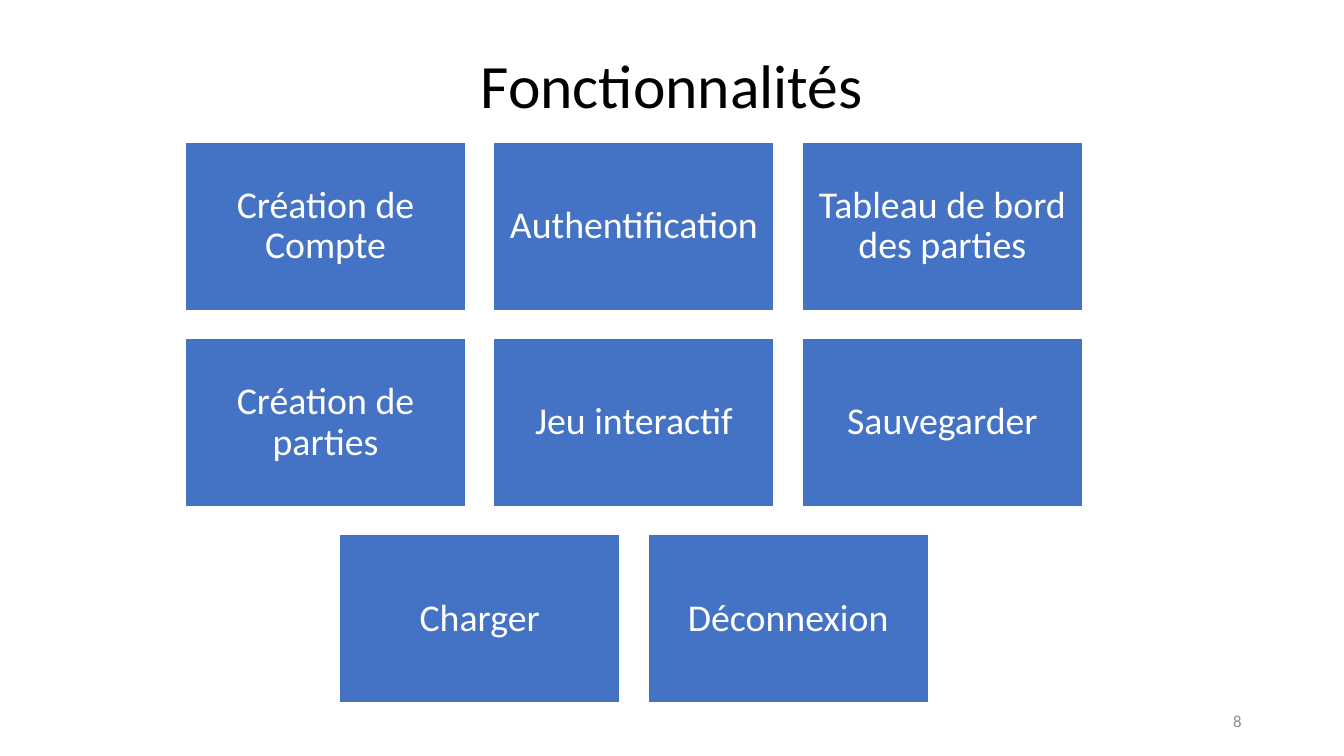
from dataclasses import dataclass

from pptx import Presentation
from pptx.dml.color import RGBColor
from pptx.enum.shapes import MSO_SHAPE
from pptx.enum.text import MSO_ANCHOR, PP_ALIGN
from pptx.shapes.autoshape import Shape
from pptx.slide import Slide
from pptx.util import Pt


@dataclass(frozen=True)
class Theme:
    font: str = "Calibri"
    blue: RGBColor = RGBColor(0x44, 0x72, 0xC4)
    white: RGBColor = RGBColor(0xFF, 0xFF, 0xFF)
    black: RGBColor = RGBColor(0, 0, 0)
    gray: RGBColor = RGBColor(0x8C, 0x8C, 0x8C)
    title: float = 44
    body: float = 27
    small: float = 12


@dataclass(frozen=True)
class Box:
    left: float
    top: float
    width: float
    height: float

    def place(self) -> tuple[Pt, Pt, Pt, Pt]:
        return Pt(self.left), Pt(self.top), Pt(self.width), Pt(self.height)


@dataclass(frozen=True)
class Label:
    text: str
    size: float
    color: RGBColor
    align: PP_ALIGN = PP_ALIGN.CENTER
    spacing: float = 0.9
    pad_x: float = 7.2
    pad_y: float = 3.6


THEME = Theme()
CENTER, TOP = 452.8, 101.5
WIDTH, HEIGHT, GAP = 200.2, 120.1, 20.1
ROWS = (
    ("Création de Compte", "Authentification", "Tableau de bord des parties"),
    ("Création de parties", "Jeu interactif", "Sauvegarder"),
    ("Charger", "Déconnexion"),
)


def write(shape: Shape, label: Label) -> None:
    frame = shape.text_frame
    frame.word_wrap = True
    frame.vertical_anchor = MSO_ANCHOR.MIDDLE
    frame.margin_left = frame.margin_right = Pt(label.pad_x)
    frame.margin_top = frame.margin_bottom = Pt(label.pad_y)
    para = frame.paragraphs[0]
    para.alignment = label.align
    para.line_spacing = label.spacing
    run = para.add_run()
    run.text = label.text
    run.font.name = THEME.font
    run.font.size = Pt(label.size)
    run.font.color.rgb = label.color


def add_text(slide: Slide, box: Box, label: Label) -> None:
    write(slide.shapes.add_textbox(*box.place()), label)


def add_tile(slide: Slide, box: Box, text: str) -> None:
    tile = slide.shapes.add_shape(MSO_SHAPE.RECTANGLE, *box.place())
    tile.shadow.inherit = False
    tile.fill.solid()
    tile.fill.fore_color.rgb = THEME.blue
    tile.line.color.rgb = THEME.white
    tile.line.width = Pt(1)
    write(tile, Label(text, THEME.body, THEME.white, pad_x=8, pad_y=8))


def add_grid(slide: Slide) -> None:
    for row, names in enumerate(ROWS):
        span = len(names) * (WIDTH + GAP) - GAP
        top = TOP + row * (HEIGHT + GAP)
        for col, name in enumerate(names):
            left = CENTER - span / 2 + col * (WIDTH + GAP)
            add_tile(slide, Box(left, top, WIDTH, HEIGHT), name)


def main() -> None:
    deck = Presentation()
    deck.slide_width, deck.slide_height = Pt(960), Pt(540)
    slide = deck.slides.add_slide(deck.slide_layouts[6])
    add_text(slide, Box(66, 10.8, 828, 104.4),
             Label("Fonctionnalités", THEME.title, THEME.black))
    add_text(slide, Box(678, 500.5, 216, 28.8),
             Label("8", THEME.small, THEME.gray, PP_ALIGN.RIGHT, 1))
    add_grid(slide)
    deck.save("out.pptx")


main()
